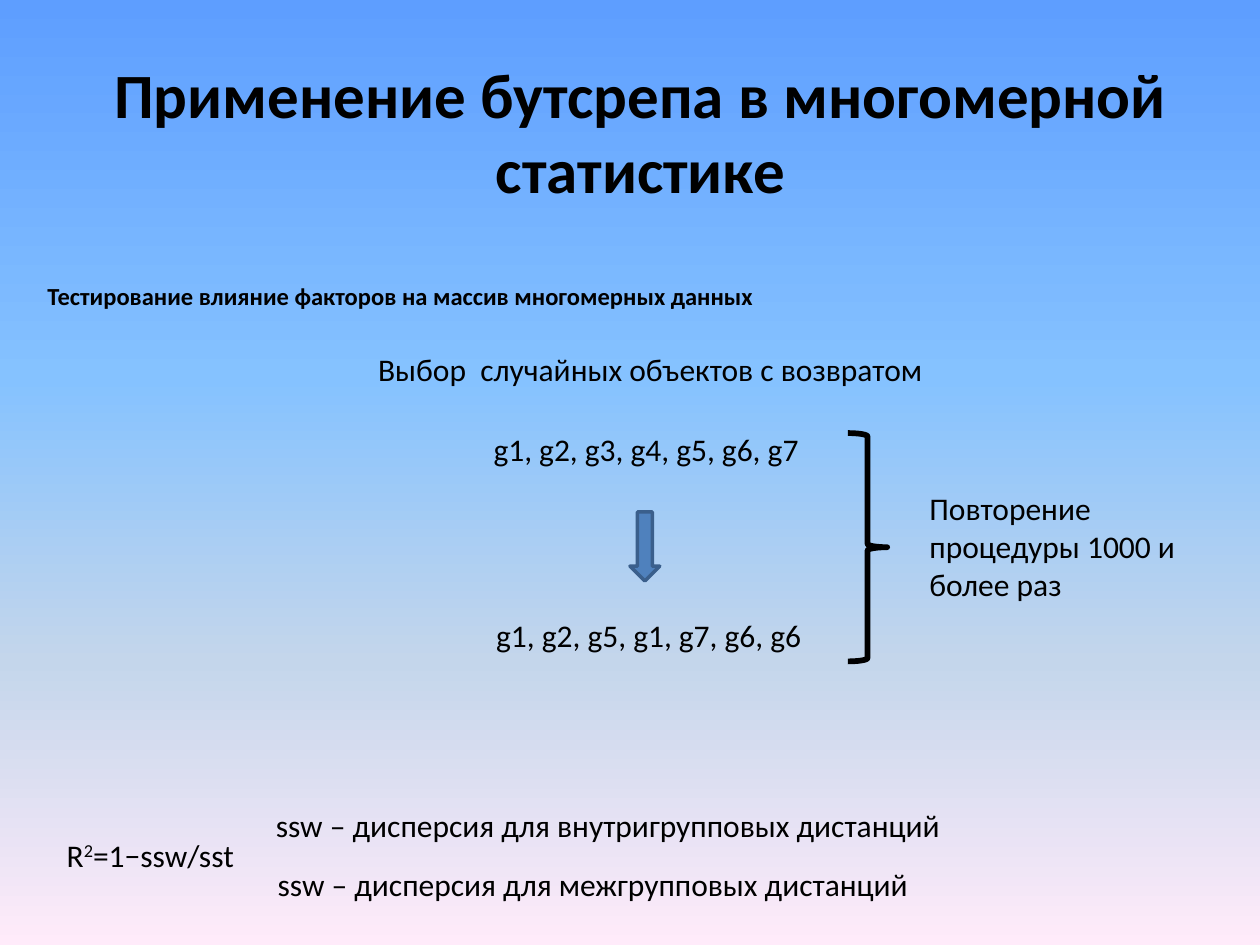
import pptx
import pptx.util
import pptx.dml.color
import pptx.enum.shapes
import pptx.enum.text
import pptx.oxml
import pptx.oxml.ns

Pt = pptx.util.Pt
ALIGN = pptx.enum.text.PP_ALIGN
SHAPE = pptx.enum.shapes.MSO_SHAPE


def rgb(value):
    """Turn a hex string into a colour."""
    return pptx.dml.color.RGBColor.from_string(value)


class Board:
    """Holds the style and the current slide."""

    font = "Calibri"
    ink = "000000"
    body = 18

    def __init__(self, slide):
        """Keep the slide to draw on."""
        self.s = slide

    def background(self, stops):
        """Fill the background from top to bottom with (percent, colour) stops."""
        fill = self.s.background.fill
        fill.gradient()
        fill.gradient_angle = 270
        gs_lst = self.s._element.find(".//" + pptx.oxml.ns.qn("a:gsLst"))
        for gs in list(gs_lst):
            gs_lst.remove(gs)
        for percent, color in stops:
            gs_lst.append(pptx.oxml.parse_xml(
                f'<a:gs {pptx.oxml.ns.nsdecls("a")} pos="{percent * 1000}">'
                f'<a:srgbClr val="{color}"/></a:gs>'))

    def text(self, box, *runs, size=body, bold=False, align=ALIGN.LEFT, wrap=False):
        """Add a text box; a run given as a tuple is (text, baseline)."""
        sp = self.s.shapes.add_textbox(*map(Pt, box))
        tf = sp.text_frame
        tf.word_wrap = wrap
        tf.auto_size = pptx.enum.text.MSO_AUTO_SIZE.SHAPE_TO_FIT_TEXT
        p = tf.paragraphs[0]
        p.alignment = align
        for run in runs:
            words, baseline = run if isinstance(run, tuple) else (run, 0)
            r = p.add_run()
            r.text = words
            r.font.name = self.font
            r.font.size = Pt(size)
            r.font.bold = bold
            r.font.color.rgb = rgb(self.ink)
            if baseline:
                r.font._element.set("baseline", str(baseline * 1000))

    def shape(self, kind, box, line, width, fill=None):
        """Add a preset shape, unfilled unless a fill is given."""
        sp = self.s.shapes.add_shape(kind, *map(Pt, box))
        sp.shadow.inherit = False
        if fill:
            sp.fill.solid()
            sp.fill.fore_color.rgb = rgb(fill)
        else:
            sp.fill.background()
        sp.line.color.rgb = rgb(line)
        sp.line.width = Pt(width)


prs = pptx.Presentation()
prs.slide_width, prs.slide_height = Pt(720), Pt(540)
board = Board(prs.slides.add_slide(prs.slide_layouts[6]))
board.background([(0, "5E9EFF"), (40, "85C2FF"), (70, "C4D6EB"), (100, "FFEBFA")])

board.text((20, 28, 692, 94.5), "Применение бутсрепа в многомерной статистике",
           size=36, bold=True, align=ALIGN.CENTER, wrap=True)
board.text((20, 157, 692, 24.5), "Тестирование влияние факторов на массив многомерных данных",
           size=14, bold=True, align=ALIGN.JUSTIFY, wrap=True)

# Variance formula and its terms
board.text((31, 474, 114.5, 29), "R", ("2", 30), "=1−ssw/sst")
board.text((150.5, 457, 398, 29), "ssw – дисперсия для внутригрупповых дистанций")
board.text((151.5, 490.5, 378.5, 29), "ssw – дисперсия для межгрупповых дистанций")

# Resampling scheme
board.text((209, 196.5, 332.5, 29), "Выбор  случайных объектов с возвратом ")
board.text((275, 242, 191.5, 29), "g1, g2, g3, g4, g5, g6, g7")
board.shape(SHAPE.DOWN_ARROW, (360, 292.5, 17, 39.5), "3A5F8C", 2, fill="4F81BD")
board.text((276.5, 348.5, 191.5, 29), "g1, g2, g5, g1, g7, g6, g6")
board.shape(SHAPE.RIGHT_BRACE, (484.5, 247.5, 22.5, 130.5), Board.ink, 3.25)
board.text((524, 276, 158.5, 72.5), "Повторение процедуры 1000 и более раз", wrap=True)

prs.save("out.pptx")
